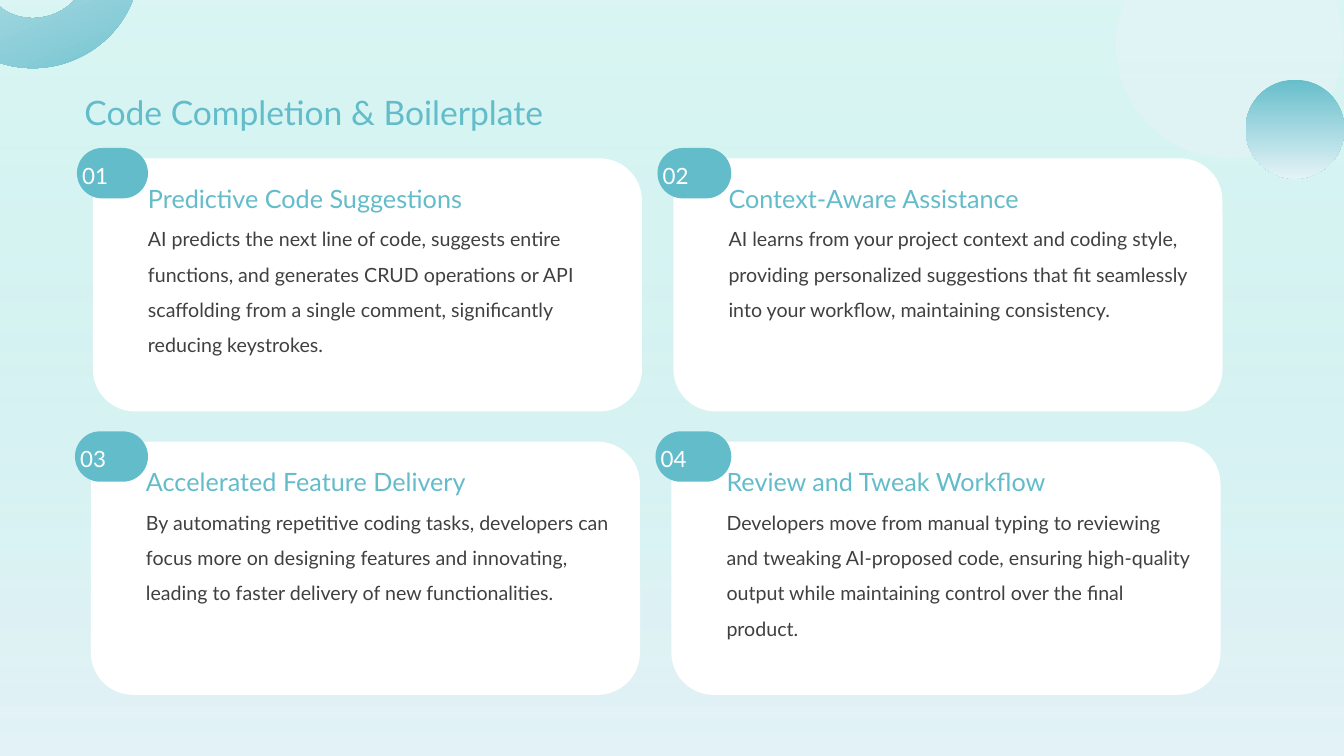
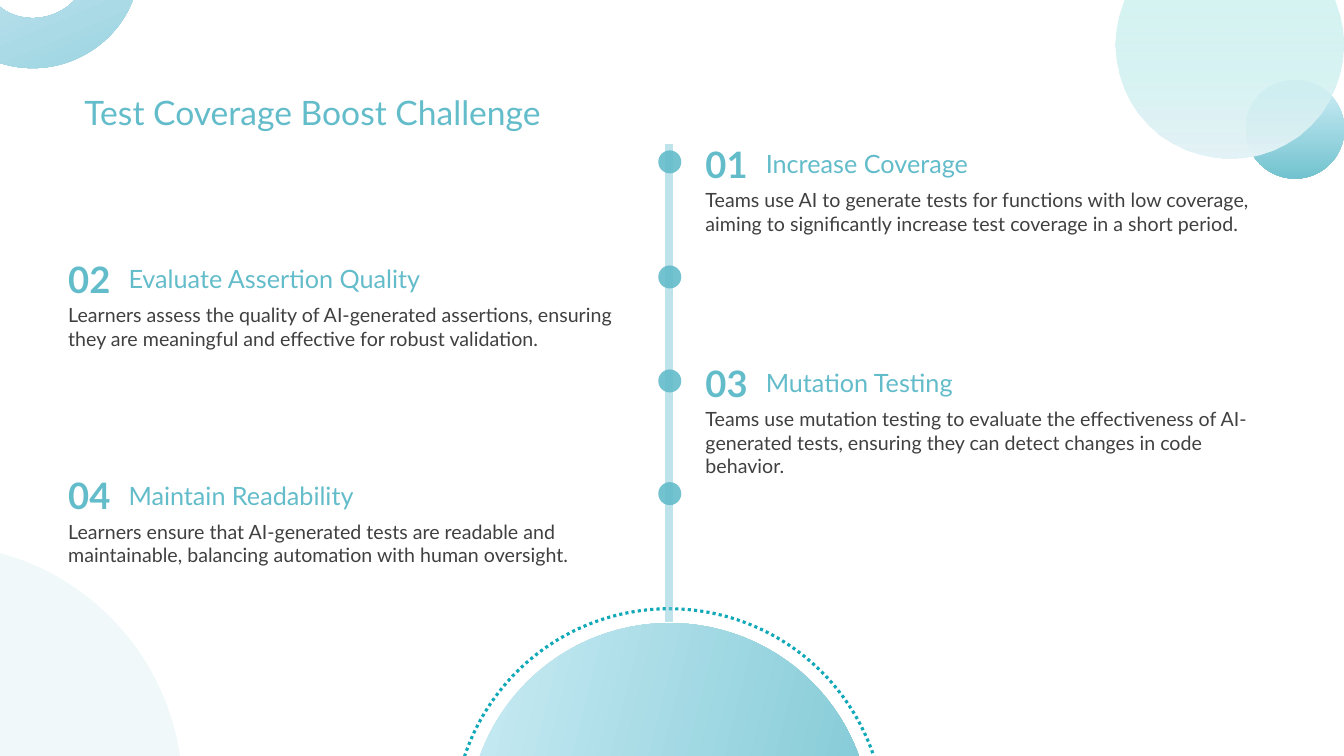
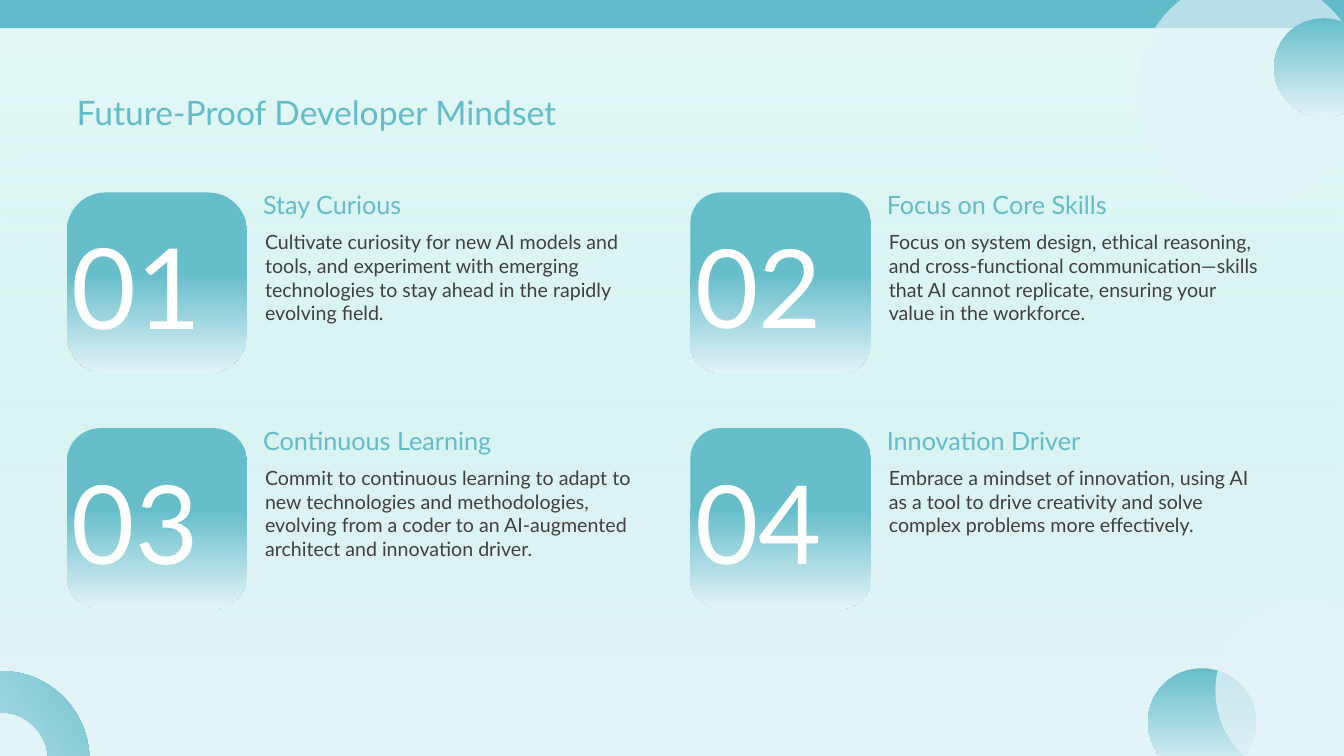
from lxml import etree
from pptx import Presentation
from pptx.dml.color import RGBColor
from pptx.enum import dml, shapes, text
from pptx.oxml.ns import qn
from pptx.util import Cm, Pt

TEAL = RGBColor(0x63, 0xBC, 0xCA)
SEA = RGBColor(0x66, 0xBE, 0xCB)
MIST = RGBColor(0xE4, 0xF3, 0xF7)
MINT = RGBColor(0xA8, 0xEA, 0xE4)
SKY = RGBColor(0xD2, 0xEF, 0xF8)
LAGOON = RGBColor(0x72, 0xC3, 0xCF)
STEEL = RGBColor(0x91, 0xCF, 0xDF)
AQUA = RGBColor(0x80, 0xC8, 0xD8)
DOTTED = RGBColor(0x11, 0xA9, 0xB8)
WHITE = RGBColor(0xFF, 0xFF, 0xFF)
GREY = RGBColor(0x40, 0x40, 0x40)
FONT = "Lato"
WIDTH, HEIGHT = 33.87, 19.05

# Fills: lists of (position %, colour, opacity %); one stop means a solid fill
SEA_FADE = [(0, SEA, 100), (100, MIST, 100)]
MINT_FADE = [(0, MINT, 42), (100, MIST, 100)]
SKY_FADE = [(0, SKY, 100), (100, LAGOON, 100)]
STEEL_FADE = [(0, STEEL, 100), (100, MIST, 100)]
PALE_FADE = [(0, MINT, 28), (92, MIST, 100), (100, MIST, 100)]
TILE_FADE = [(0, SEA, 100), (45, SEA, 100), (100, MIST, 100)]
VEIL = [(0, MIST, 67)]

KIND = shapes.MSO_SHAPE
BADGE_INSETS = (0.13, 0.25, 0.25, 0.13)


def add_shape(s, kind, x, y, w, h, stops, corner=None, rotation=0):
    sp = s.shapes.add_shape(kind, Cm(x), Cm(y), Cm(w), Cm(h))
    sp.shadow.inherit = False
    sp.line.fill.background()
    sp.rotation = rotation
    if corner is not None:
        sp.adjustments[0] = corner
    if not stops:
        sp.fill.background()
    elif len(stops) == 1:
        sp.fill.solid()
        sp.fill.fore_color.rgb = stops[0][1]
        if stops[0][2] < 100:
            color = sp._element.spPr.find(".//" + qn("a:srgbClr"))
            etree.SubElement(color, qn("a:alpha"), val=str(stops[0][2] * 1000))
    else:
        sp.fill.gradient()
        sp.fill.gradient_angle = 270
        stop_list = sp._element.spPr.find(".//" + qn("a:gsLst"))
        for old in list(stop_list):
            stop_list.remove(old)
        for position, rgb, opacity in stops:
            stop = etree.SubElement(stop_list, qn("a:gs"), pos=str(position * 1000))
            color = etree.SubElement(stop, qn("a:srgbClr"), val=str(rgb))
            if opacity < 100:
                etree.SubElement(color, qn("a:alpha"), val=str(opacity * 1000))
    return sp


def add_text(s, words, x, y, w, h, size, color, bold=None, spacing=None, insets=None):
    tf = s.shapes.add_textbox(Cm(x), Cm(y), Cm(w), Cm(h)).text_frame
    tf.word_wrap = True
    if insets:
        tf.vertical_anchor = text.MSO_ANCHOR.MIDDLE
        tf.margin_left, tf.margin_top, tf.margin_right, tf.margin_bottom = map(Cm, insets)
    tf.text = words
    p = tf.paragraphs[0]
    p.line_spacing = spacing
    r = p.runs[0]
    r.font.name, r.font.size, r.font.bold = FONT, Pt(size), bold
    r.font.color.rgb = color
    return tf


prs = Presentation()
prs.slide_width, prs.slide_height = Cm(WIDTH), Cm(HEIGHT)

# Shared frame: background wash, corner ring and title
TOP_RING = (-1.73, -3.35, 5.26, 5.05)
BOTTOM_RING = (-2.03, 16.97, 4.34, 4.17)
frames = [
    ("Code Completion & Boilerplate", 1.88, MINT_FADE, TOP_RING, 157, SEA_FADE),
    ("Test Coverage Boost Challenge", 1.88, None, TOP_RING, 157, STEEL_FADE),
    ("Future-Proof Developer Mindset", 1.68, PALE_FADE, BOTTOM_RING, 55, SEA_FADE),
]
slides = []
for title, left, wash, ring, rotation, ring_fill in frames:
    s = prs.slides.add_slide(prs.slide_layouts[6])
    if wash:
        add_shape(s, KIND.RECTANGLE, 0, 0, WIDTH, HEIGHT, wash)
    add_shape(s, KIND.BLOCK_ARC, *ring, ring_fill, rotation=rotation)
    tf = add_text(s, title, left, 2.18, 28.93, 1.02, 24, TEAL)
    tf.auto_size = text.MSO_AUTO_SIZE.SHAPE_TO_FIT_TEXT
    slides.append(s)

# Slide 1: four cards with number badges
s = slides[0]
add_shape(s, KIND.OVAL, 28.12, -1.75, 5.74, 5.74, VEIL)
add_shape(s, KIND.OVAL, 31.39, 2.01, 2.49, 2.49, SEA_FADE)
cards = [
    ("Predictive Code Suggestions",
     "AI predicts the next line of code, suggests entire functions, and generates CRUD "
     "operations or API scaffolding from a single comment, significantly reducing keystrokes."),
    ("Context-Aware Assistance",
     "AI learns from your project context and coding style, providing personalized "
     "suggestions that fit seamlessly into your workflow, maintaining consistency."),
    ("Accelerated Feature Delivery",
     "By automating repetitive coding tasks, developers can focus more on designing "
     "features and innovating, leading to faster delivery of new functionalities."),
    ("Review and Tweak Workflow",
     "Developers move from manual typing to reviewing and tweaking AI-proposed code, "
     "ensuring high-quality output while maintaining control over the final product."),
]
for i, (heading, body) in enumerate(cards):
    row, col = divmod(i, 2)
    x, y = 2.34 + 14.63 * col - 0.05 * row, 3.99 + 7.14 * row
    add_shape(s, KIND.ROUNDED_RECTANGLE, x, y, 13.84, 6.38, [(0, WHITE, 100)], 0.167)
    badge_right = 3.73 + 14.7 * col
    badge = (x - 0.4, y - 0.26, badge_right - x + 0.4, 1.27)
    add_shape(s, KIND.ROUNDED_RECTANGLE, *badge, [(0, TEAL, 100)], 0.5)
    add_text(s, f"{i + 1:02}", *badge, 16, WHITE, insets=BADGE_INSETS)
    add_text(s, heading, x + 1.14, y + 0.5, 10, 0.94, 18, TEAL)
    add_text(s, body, x + 1.14, y + 1.32, 12.37, 4.7, 14, GREY, spacing=1.5)

# Slide 2: vertical timeline rising from a dome
s = slides[1]
add_shape(s, KIND.OVAL, 31.39, 2.01, 2.49, 2.49, SKY_FADE)
add_shape(s, KIND.OVAL, 28.12, -1.75, 5.74, 5.74, MINT_FADE)
halo = add_shape(s, KIND.OVAL, 11.43, 15.34, 10.87, 10.87, None)
halo.line.color.rgb = DOTTED
halo.line.width = Pt(2.25)
halo.line.dash_style = dml.MSO_LINE.ROUND_DOT
add_shape(s, KIND.OVAL, 11.79, 15.7, 10.16, 10.16, SKY_FADE, rotation=284)
add_shape(s, KIND.OVAL, -7.87, 13.72, 12.47, 12.47, [(0, MIST, 55)])
add_shape(s, KIND.RECTANGLE, 16.76, 3.63, 0.2, 12.04, [(0, AQUA, 50)])
steps = [
    (17.53, 3.45, "Increase Coverage",
     "Teams use AI to generate tests for functions with low coverage, aiming to "
     "significantly increase test coverage in a short period."),
    (1.47, 6.35, "Evaluate Assertion Quality",
     "Learners assess the quality of AI-generated assertions, ensuring they are "
     "meaningful and effective for robust validation."),
    (17.53, 8.97, "Mutation Testing",
     "Teams use mutation testing to evaluate the effectiveness of AI-generated tests, "
     "ensuring they can detect changes in code behavior."),
    (1.47, 11.81, "Maintain Readability",
     "Learners ensure that AI-generated tests are readable and maintainable, balancing "
     "automation with human oversight."),
]
for i, (x, y, heading, body) in enumerate(steps, 1):
    add_shape(s, KIND.OVAL, 16.59, y + 0.34, 0.58, 0.58, [(0, TEAL, 90)])
    add_text(s, f"{i:02}", x, y, 1.8, 1.27, 26, TEAL, bold=True)
    add_text(s, heading, x + 1.52, y + 0.17, 9.96, 0.94, 18, TEAL)
    add_text(s, body, x, y + 1.16, 14.91, 2.36, 14, GREY)

# Slide 3: top band, corner circles and four numbered tiles
s = slides[2]
add_shape(s, KIND.RECTANGLE, 0, 0, WIDTH, 0.71, [(0, TEAL, 100)])
add_shape(s, KIND.OVAL, 28.65, -0.61, 5.74, 5.74, VEIL)
add_shape(s, KIND.OVAL, 32.11, 0.46, 2.49, 2.49, SEA_FADE)
add_shape(s, KIND.OVAL, 28.93, 16.84, 2.72, 2.72, SEA_FADE)
add_shape(s, KIND.OVAL, 30.63, 15.14, 4.52, 4.52, [(0, MIST, 77)])
traits = [
    (0.216, 80, "Stay Curious",
     "Cultivate curiosity for new AI models and tools, and experiment with emerging "
     "technologies to stay ahead in the rapidly evolving field."),
    (0.167, 78, "Focus on Core Skills",
     "Focus on system design, ethical reasoning, and cross-functional communication—skills "
     "that AI cannot replicate, ensuring your value in the workforce."),
    (0.187, 78, "Continuous Learning",
     "Commit to continuous learning to adapt to new technologies and methodologies, "
     "evolving from a coder to an AI-augmented architect and innovation driver."),
    (0.167, 78, "Innovation Driver",
     "Embrace a mindset of innovation, using AI as a tool to drive creativity and solve "
     "complex problems more effectively."),
]
for i, (corner, size, heading, body) in enumerate(traits):
    row, col = divmod(i, 2)
    x, y = 1.68 + 15.72 * col, 4.85 + 5.94 * row
    tile = (x, y, 4.55, 4.55)
    add_shape(s, KIND.ROUNDED_RECTANGLE, *tile, TILE_FADE, corner)
    add_text(s, f"{i + 1:02}", *tile, size, WHITE, insets=BADGE_INSETS)
    add_text(s, heading, x + 4.7, y - 0.2, 9.96, 0.94, 18, TEAL)
    add_text(s, body, x + 4.75, y + 0.83, 9.96, 4.7, 14, GREY)

prs.save("out.pptx")
